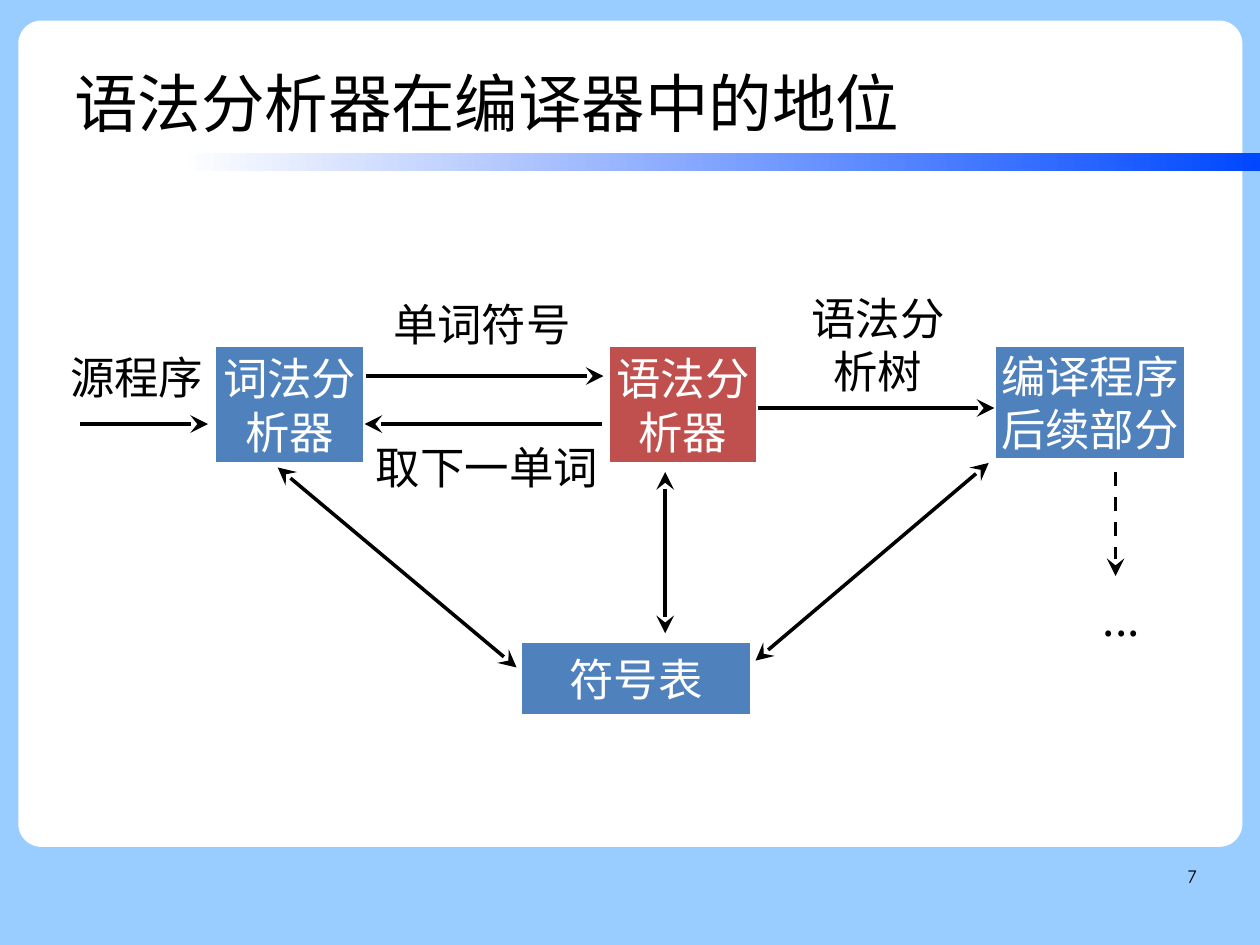
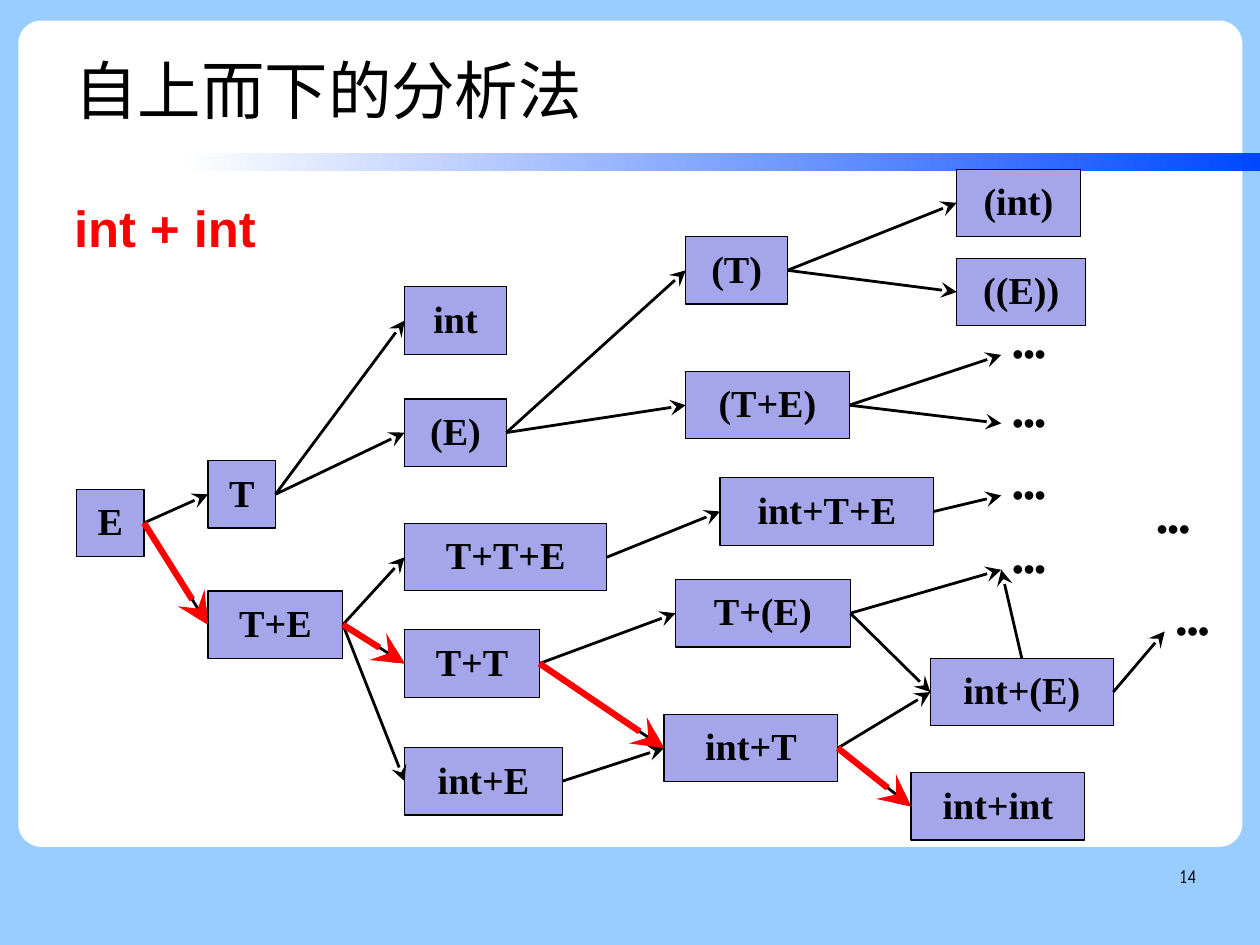
from lxml import etree
from pptx import Presentation
from pptx.dml.color import RGBColor
from pptx.enum.dml import MSO_LINE
from pptx.enum.shapes import MSO_CONNECTOR, MSO_SHAPE
from pptx.enum.text import MSO_ANCHOR, MSO_AUTO_SIZE, PP_ALIGN
from pptx.oxml.ns import qn
from pptx.util import Cm, Inches, Pt

# Shared page size, colours, fonts and enum members
PAGE_WIDTH, PAGE_HEIGHT = Cm(28), Cm(21)
SKY = RGBColor(0x99, 0xCC, 0xFF)
WHITE = RGBColor(0xFF, 0xFF, 0xFF)
BLACK = RGBColor(0x00, 0x00, 0x00)
BAND_BLUE = RGBColor(0x00, 0x47, 0xFF)
STAGE_BLUE = RGBColor(0x4F, 0x81, 0xBD)
STAGE_RED = RGBColor(0xC0, 0x50, 0x4D)
LILAC = RGBColor(0xA5, 0xA5, 0xE9)
RED = RGBColor(0xFF, 0x00, 0x00)
CJK, SANS, SERIF, NUMBER = "Noto Sans CJK SC", "Arial", "Times New Roman", "Comic Neue"
LEFT, CENTER, RIGHT = PP_ALIGN.LEFT, PP_ALIGN.CENTER, PP_ALIGN.RIGHT
TOP, MIDDLE = MSO_ANCHOR.TOP, MSO_ANCHOR.MIDDLE
RECTANGLE, ROUNDED = MSO_SHAPE.RECTANGLE, MSO_SHAPE.ROUNDED_RECTANGLE
STRAIGHT, DASH = MSO_CONNECTOR.STRAIGHT, MSO_LINE.DASH
NO_AUTOSIZE = MSO_AUTO_SIZE.NONE
TOP_SIDE, LEFT_SIDE, RIGHT_SIDE = 0, 1, 3

# Slide 1: compiler stages, labels and arrows
STAGES = [
    ("符号表", 4.55, 5.61, 2.03, 0.65, STAGE_BLUE),
    ("词法分\n析器", 1.88, 3.02, 1.31, 1.04, STAGE_BLUE),
    ("语法分\n析器", 5.32, 3.02, 1.31, 1.04, STAGE_RED),
    ("编译程序\n后续部分", 8.7, 3.02, 1.67, 1, STAGE_BLUE),
]
STAGE_LABELS = [
    ("源程序", 0.57, 2.96, 1.25, 0.68),
    ("单词符号", 3.54, 2.46, 1.35, 0.75),
    ("取下一单词", 3.25, 3.71, 2.02, 0.75),
    ("语法分\n析树", 7.09, 2.54, 1.18, 0.94),
    ("...", 9.35, 5.04, 0.92, 0.75),
]
FLOW_ARROWS = [
    ((0.7, 3.71), (1.82, 3.71)),
    ((3.2, 3.29), (5.28, 3.29)),
    ((5.27, 3.71), (3.19, 3.71)),
    ((6.63, 3.57), (8.7, 3.57)),
]
TABLE_ARROWS = [
    ((2.43, 4.09), (4.52, 5.84)),
    ((5.82, 4.13), (5.82, 5.54)),
    ((8.65, 4.05), (6.61, 5.78)),
]

# Slide 2: derivation nodes (left, top, width), dots (left, top) and edges
NODE_HEIGHT = 0.59
NODES = {
    "E": (0.67, 4.28, 0.59),
    "T": (1.82, 4.03, 0.59),
    "T+E": (1.82, 5.17, 1.18),
    "int": (3.54, 2.51, 0.89),
    "(E)": (3.54, 3.49, 0.89),
    "T+T+E": (3.54, 4.58, 1.77),
    "T+T": (3.54, 5.51, 1.18),
    "int+E": (3.54, 6.54, 1.38),
    "(T)": (6, 2.07, 0.89),
    "(T+E)": (6, 3.25, 1.43),
    "int+T+E": (6.3, 4.18, 1.87),
    "T+(E)": (5.91, 5.07, 1.53),
    "int+T": (5.81, 6.25, 1.52),
    "(int)": (8.37, 1.48, 1.08),
    "((E))": (8.37, 2.26, 1.13),
    "int+(E)": (8.14, 5.76, 1.6),
    "int+int": (7.97, 6.76, 1.52),
}
DOTS = {
    "dots 1": (8.76, 2.9),
    "dots 2": (8.76, 3.5),
    "dots 3": (8.76, 4.13),
    "dots 4": (8.76, 4.78),
    "dots 5": (10.19, 5.32),
    "dots 6": (10.02, 4.43),
}
DERIVATIONS = {
    "E": ["T", "T+E"],
    "T": ["int", "(E)"],
    "T+E": ["T+T+E", "T+T", "int+E"],
    "(E)": ["(T)", "(T+E)"],
    "(T)": ["(int)", "((E))"],
    "(T+E)": ["dots 1", "dots 2"],
    "T+T+E": ["int+T+E"],
    "int+T+E": ["dots 3"],
    "T+T": ["T+(E)", "int+T"],
    "int+E": ["int+T"],
    "T+(E)": ["dots 4", "int+(E)"],
    "int+T": ["int+(E)", "int+int"],
    "int+(E)": ["dots 4", "dots 5"],
}
CHOSEN_PATH = ["E", "T+E", "T+T", "int+T", "int+int"]


def write_text(shape, text, size, font, color=BLACK, bold=False, align=LEFT,
               anchor=TOP, spacing=None, inset=None, wrap=True):
    """Fill a shape with one formatted run per line of text."""
    frame = shape.text_frame
    frame.auto_size = NO_AUTOSIZE
    frame.word_wrap = wrap
    frame.vertical_anchor = anchor
    if inset is not None:
        frame.margin_left = frame.margin_right = Inches(inset)
        frame.margin_top = frame.margin_bottom = Inches(inset)
    for index, line in enumerate(text.split("\n")):
        paragraph = frame.add_paragraph() if index else frame.paragraphs[0]
        paragraph.alignment = align
        if spacing:
            paragraph.line_spacing = spacing
        run = paragraph.add_run()
        run.text = line
        run.font.size = Pt(size)
        run.font.name = font
        run.font.bold = bold
        run.font.color.rgb = color
        east_asian = etree.SubElement(run.font._element, qn("a:ea"))
        east_asian.set("typeface", font)


def add_text(slide, text, left, top, width, height, size, font, **style):
    box = slide.shapes.add_textbox(
        Inches(left), Inches(top), Inches(width), Inches(height))
    write_text(box, text, size, font, **style)
    return box


def add_box(slide, kind, left, top, width, height, fill=None, line=None, weight=1):
    box = slide.shapes.add_shape(
        kind, Inches(left), Inches(top), Inches(width), Inches(height))
    box.shadow.inherit = False
    if fill is not None:
        box.fill.solid()
        box.fill.fore_color.rgb = fill
    if line is None:
        box.line.fill.background()
    else:
        box.line.color.rgb = line
        box.line.width = Pt(weight)
    return box


def add_arrow(slide, start=(0, 0), end=(0, 0), color=BLACK, weight=2.25,
              both=False, dash=None):
    arrow = slide.shapes.add_connector(
        STRAIGHT, *(Inches(value) for value in (*start, *end)))
    arrow.line.color.rgb = color
    arrow.line.width = Pt(weight)
    if dash is not None:
        arrow.line.dash_style = dash
    properties = arrow.element.spPr
    line = properties.find(qn("a:ln"))
    for tag in ("a:headEnd", "a:tailEnd") if both else ("a:tailEnd",):
        etree.SubElement(line, qn(tag), type="stealth", w="lg", len="lg")
    etree.SubElement(properties, qn("a:effectLst"))
    return arrow


def join(slide, source, target, side=RIGHT_SIDE, **style):
    arrow = add_arrow(slide, **style)
    arrow.begin_connect(source, side)
    arrow.end_connect(target, LEFT_SIDE)


def decorate_master(presentation, slide):
    """Put the background, white panel and gradient band on the master."""
    master = presentation.slide_master
    master.background.fill.solid()
    master.background.fill.fore_color.rgb = SKY
    panel = add_box(slide, ROUNDED, 0.16, 0.18, 10.71, 7.23, WHITE)
    panel.adjustments[0] = 0.028
    band = add_box(slide, RECTANGLE, 1.57, 1.34, 9.45, 0.16)
    band.fill.gradient()
    band.fill.gradient_angle = 0
    for stop, color, position in zip(band.fill.gradient_stops, (WHITE, BAND_BLUE), (0, 1)):
        stop.color.rgb = color
        stop.position = position
    for index, shape in enumerate((panel, band), start=2):
        master.shapes.element.insert(index, shape.element)


def add_slide(presentation, title, title_top, number):
    slide = presentation.slides.add_slide(presentation.slide_layouts[5])
    heading = slide.shapes.title
    heading.left, heading.top = Inches(0.55), Inches(title_top)
    heading.width, heading.height = Inches(8.58), Inches(1.01)
    write_text(heading, title, 40, CJK, spacing=1.1)
    add_text(slide, number, 7.9, 7.53, 2.57, 0.57, 12, NUMBER,
             align=RIGHT, spacing=1.16, inset=0)
    return slide


def draw_compiler(slide):
    label_style = dict(align=CENTER, anchor=MIDDLE, inset=0, wrap=False)
    for text, *place in STAGE_LABELS:
        add_text(slide, text, *place, 28, CJK, **label_style)
    for text, *place, fill in STAGES:
        stage = add_box(slide, RECTANGLE, *place, fill, WHITE, 2)
        write_text(stage, text, 28, CJK, WHITE, **label_style)
    for start, end in FLOW_ARROWS:
        add_arrow(slide, start, end)
    for start, end in TABLE_ARROWS:
        add_arrow(slide, start, end, both=True)
    add_arrow(slide, (9.76, 4.13), (9.76, 5.04), dash=DASH)


def draw_derivations(slide):
    add_text(slide, "int + int", 0.55, 1.72, 2.94, 0.69, 32, SANS,
             color=RED, bold=True, spacing=0.93)
    shapes = {}
    for text, (left, top, width) in NODES.items():
        node = add_box(slide, RECTANGLE, left, top, width, NODE_HEIGHT, LILAC, BLACK, 0.75)
        write_text(node, text, 24, SERIF, bold=True, align=CENTER,
                   anchor=MIDDLE, spacing=0.93)
        shapes[text] = node
    for name, (left, top) in DOTS.items():
        shapes[name] = add_text(slide, "•••", left, top, 0.49, 0.41, 20, SANS,
                                spacing=0.93, wrap=False)
    for source, targets in DERIVATIONS.items():
        for target in targets:
            upward = (source, target) == ("int+(E)", "dots 4")
            join(slide, shapes[source], shapes[target],
                 TOP_SIDE if upward else RIGHT_SIDE, weight=1.75)
    # Chosen derivation on top
    for source, target in zip(CHOSEN_PATH, CHOSEN_PATH[1:]):
        join(slide, shapes[source], shapes[target], color=RED, weight=4)


def main():
    presentation = Presentation()
    presentation.slide_width = PAGE_WIDTH
    presentation.slide_height = PAGE_HEIGHT
    compiler = add_slide(presentation, "语法分析器在编译器中的地位", 0.44, "7")
    decorate_master(presentation, compiler)
    draw_compiler(compiler)
    draw_derivations(add_slide(presentation, "自上而下的分析法", 0.33, "14"))
    presentation.save("out.pptx")


if __name__ == "__main__":
    main()
